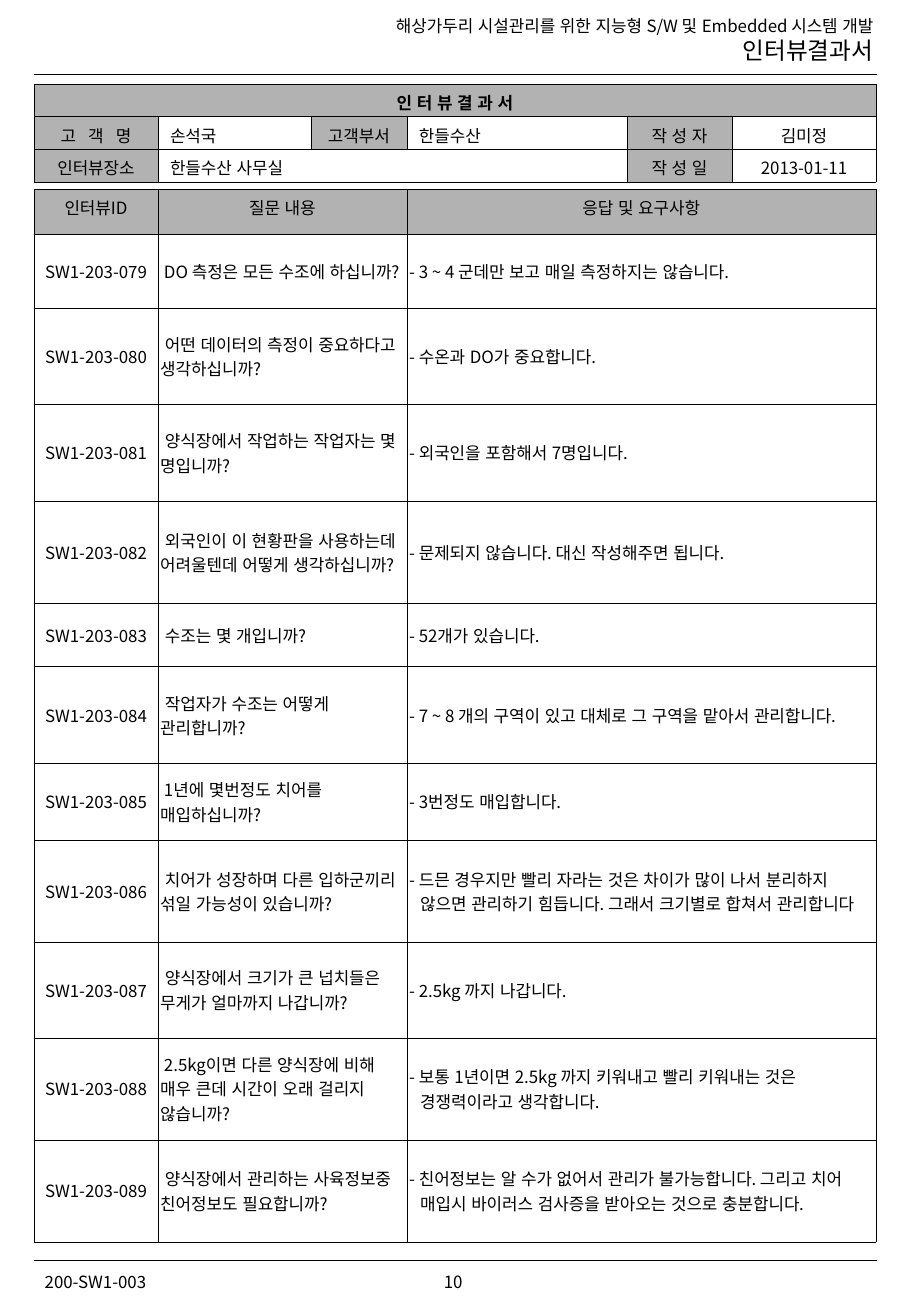
import dataclasses
import typing

import lxml.etree
import pptx
import pptx.dml.color
import pptx.enum.lang
import pptx.enum.shapes
import pptx.enum.text
import pptx.oxml.ns
import pptx.util

Inches = pptx.util.Inches
Pt = pptx.util.Pt
Align = pptx.enum.text.PP_ALIGN
Anchor = pptx.enum.text.MSO_ANCHOR
qn = pptx.oxml.ns.qn

FONT = "Noto Sans CJK KR"
BLACK = pptx.dml.color.RGBColor(0x00, 0x00, 0x00)
GRAY = pptx.dml.color.RGBColor(0xB2, 0xB2, 0xB2)
LEFT, RIGHT = 0.28, 7.22
HANG = 0.09


@dataclasses.dataclass
class Field:
    row: int
    col: int
    text: str
    head: bool = False
    span: int = 1
    center: bool = True
    bold: bool = False
    track: int = 0


@dataclasses.dataclass
class Entry:
    num: int
    ask: str
    reply: str
    high: float


FIELDS = [
    Field(0, 0, "인 터 뷰 결 과 서", head=True, span=6, bold=True),
    Field(1, 0, "고 객 명", head=True, track=220),
    Field(1, 1, "손석국", center=False),
    Field(1, 2, "고객부서", head=True),
    Field(1, 3, "한들수산", center=False),
    Field(1, 4, "작 성 자", head=True),
    Field(1, 5, "김미정"),
    Field(2, 0, "인터뷰장소", head=True),
    Field(2, 1, "한들수산 사무실", span=3, center=False),
    Field(2, 4, "작 성 일", head=True),
    Field(2, 5, "2013-01-11"),
]

HEADS = ["인터뷰ID", "질문 내용", "응답 및 요구사항"]
ENTRIES = [
    Entry(79, "DO 측정은 모든 수조에 하십니까?",
          "3 ~ 4 군데만 보고 매일 측정하지는 않습니다.", 0.61),
    Entry(80, "어떤 데이터의 측정이 중요하다고 생각하십니까?",
          "수온과 DO가 중요합니다.", 0.79),
    Entry(81, "양식장에서 작업하는 작업자는 몇 명입니까?",
          "외국인을 포함해서 7명입니다.", 0.8),
    Entry(82, "외국인이 이 현황판을 사용하는데 어려울텐데 어떻게 생각하십니까?",
          "문제되지 않습니다. 대신 작성해주면 됩니다.", 0.84),
    Entry(83, "수조는 몇 개입니까?", "52개가 있습니다.", 0.52),
    Entry(84, "작업자가 수조는 어떻게 관리합니까?",
          "7 ~ 8 개의 구역이 있고 대체로 그 구역을 맡아서 관리합니다.", 0.8),
    Entry(85, "1년에 몇번정도 치어를 매입하십니까?", "3번정도 매입합니다.", 0.63),
    Entry(86, "치어가 성장하며 다른 입하군끼리 섞일 가능성이 있습니까?",
          "드믄 경우지만 빨리 자라는 것은 차이가 많이 나서 분리하지 않으면 "
          "관리하기 힘듭니다. 그래서 크기별로 합쳐서 관리합니다", 0.84),
    Entry(87, "양식장에서 크기가 큰 넙치들은 무게가 얼마까지 나갑니까?",
          "2.5kg 까지 나갑니다.", 0.79),
    Entry(88, "2.5kg이면 다른 양식장에 비해 매우 큰데 시간이 오래 걸리지 않습니까?",
          "보통 1년이면 2.5kg 까지 키워내고 빨리 키워내는 것은 "
          "경쟁력이라고 생각합니다.", 0.84),
    Entry(89, "양식장에서 관리하는 사육정보중 친어정보도 필요합니까?",
          "친어정보는 알 수가 없어서 관리가 불가능합니다. 그리고 치어 매입시 "
          "바이러스 검사증을 받아오는 것으로 충분합니다.", 0.84),
]


def add_run(para: typing.Any, text: str, size: float = 10,
            bold: bool = False, track: int = 0) -> None:
    run = para.add_run()
    run.text = text
    font = run.font
    font.size, font.bold, font.name = Pt(size), bold, FONT
    font.color.rgb = BLACK
    font.language_id = pptx.enum.lang.MSO_LANGUAGE_ID.KOREAN
    props = run._r.get_or_add_rPr()
    lxml.etree.SubElement(props, qn("a:ea"), typeface=FONT)
    if track:
        props.set("spc", str(track))


def set_frame(frame: typing.Any, pad: float) -> None:
    frame.auto_size = pptx.enum.text.MSO_AUTO_SIZE.NONE
    frame.word_wrap = True
    frame.vertical_anchor = Anchor.MIDDLE
    frame.margin_left = frame.margin_right = Inches(pad)
    frame.margin_top = frame.margin_bottom = 0


def add_note(slide: typing.Any, text: str, left: float, width: float) -> None:
    box = slide.shapes.add_textbox(Inches(left), Inches(10.42), Inches(width), Inches(0.27))
    set_frame(box.text_frame, 0)
    para = box.text_frame.paragraphs[0]
    para.alignment = Align.CENTER
    add_run(para, text)


def add_rule(slide: typing.Any, top: float) -> None:
    rule = slide.shapes.add_connector(
        pptx.enum.shapes.MSO_CONNECTOR.STRAIGHT,
        Inches(LEFT), Inches(top), Inches(RIGHT), Inches(top))
    rule.line.color.rgb = BLACK
    rule.line.width = Pt(0.25)
    lxml.etree.SubElement(rule._element.spPr, qn("a:effectLst"))


def add_grid(slide: typing.Any, top: float, cols: list[float], rows: list[float]) -> typing.Any:
    """Add a table with thin black borders and no banding."""
    grid = slide.shapes.add_table(
        len(rows), len(cols), Inches(LEFT), Inches(top),
        Inches(sum(cols)), Inches(sum(rows))).table
    grid.first_row = grid.horz_banding = False
    for col, width in zip(grid.columns, cols):
        col.width = Inches(width)
    for row, high in zip(grid.rows, rows):
        row.height = Inches(high)
    for cell in grid.iter_cells():
        props = cell._tc.get_or_add_tcPr()
        for side in ("a:lnL", "a:lnR", "a:lnT", "a:lnB"):
            line = lxml.etree.SubElement(props, qn(side), w=str(Pt(0.11)))
            fill = lxml.etree.SubElement(line, qn("a:solidFill"))
            lxml.etree.SubElement(fill, qn("a:srgbClr"), val=str(BLACK))
        cell.fill.background()
    return grid


def set_cell(cell: typing.Any, pad: float, low: float, head: bool, center: bool) -> typing.Any:
    """Format a cell, keep punctuation inside it and return its paragraph."""
    cell.margin_left = cell.margin_right = Inches(pad)
    cell.margin_top, cell.margin_bottom = Inches(0.05), Inches(low)
    cell.vertical_anchor = Anchor.MIDDLE
    if head:
        cell.fill.solid()
        cell.fill.fore_color.rgb = GRAY
    para = cell.text_frame.paragraphs[0]
    para.alignment = Align.CENTER if center else Align.LEFT
    para._p.get_or_add_pPr().set("hangingPunct", "0")
    return para


def add_title(slide: typing.Any) -> None:
    title = slide.shapes.title
    title.left, title.top = Inches(LEFT), Inches(0.08)
    title.width, title.height = Inches(7.01), Inches(0.5)
    frame = title.text_frame
    set_frame(frame, 0.1)
    lines = [("해상가두리 시설관리를 위한 지능형 S/W 및 Embedded 시스템 개발", 10),
             ("인터뷰결과서", 14)]
    for spot, (text, size) in enumerate(lines):
        para = frame.add_paragraph() if spot else frame.paragraphs[0]
        para.alignment = Align.RIGHT
        add_run(para, text, size)


def add_talks(slide: typing.Any) -> None:
    grid = add_grid(slide, 1.56, [1.02, 2.05, 3.86], [0.37] + [item.high for item in ENTRIES])
    for col, text in enumerate(HEADS):
        cell = grid.cell(0, col)
        add_run(set_cell(cell, 0.02, 0.05, True, True), text)
        cell.vertical_anchor = Anchor.TOP
    for row, item in enumerate(ENTRIES, 1):
        texts = [f"SW1-203-{item.num:03}", f" {item.ask}", f"- {item.reply}"]
        for col, text in enumerate(texts):
            para = set_cell(grid.cell(row, col), 0.02, 0.05, False, col == 0)
            add_run(para, text)
        props = para._p.get_or_add_pPr()
        props.set("marL", str(Inches(HANG)))
        props.set("indent", str(-Inches(HANG)))


def add_facts(slide: typing.Any) -> None:
    grid = add_grid(slide, 0.69, [1.02, 1.26, 0.79, 1.81, 0.87, 1.18], [0.27] * 3)
    for item in FIELDS:
        cell = grid.cell(item.row, item.col)
        if item.span > 1:
            cell.merge(grid.cell(item.row, item.col + item.span - 1))
        para = set_cell(cell, 0.1, 0.02, item.head, item.center)
        add_run(para, item.text, bold=item.bold, track=item.track)


def main() -> None:
    deck = pptx.Presentation()
    deck.slide_width, deck.slide_height = Inches(7.5), Inches(10.84)
    slide = deck.slides.add_slide(deck.slide_layouts[5])
    add_title(slide)
    add_note(slide, "200-SW1-003", 0.26, 1.05)
    add_rule(slide, 0.61)
    add_rule(slide, 10.38)
    add_note(slide, "10", 3.32, 0.82)
    add_talks(slide)
    add_facts(slide)
    deck.save("out.pptx")


if __name__ == "__main__":
    main()
